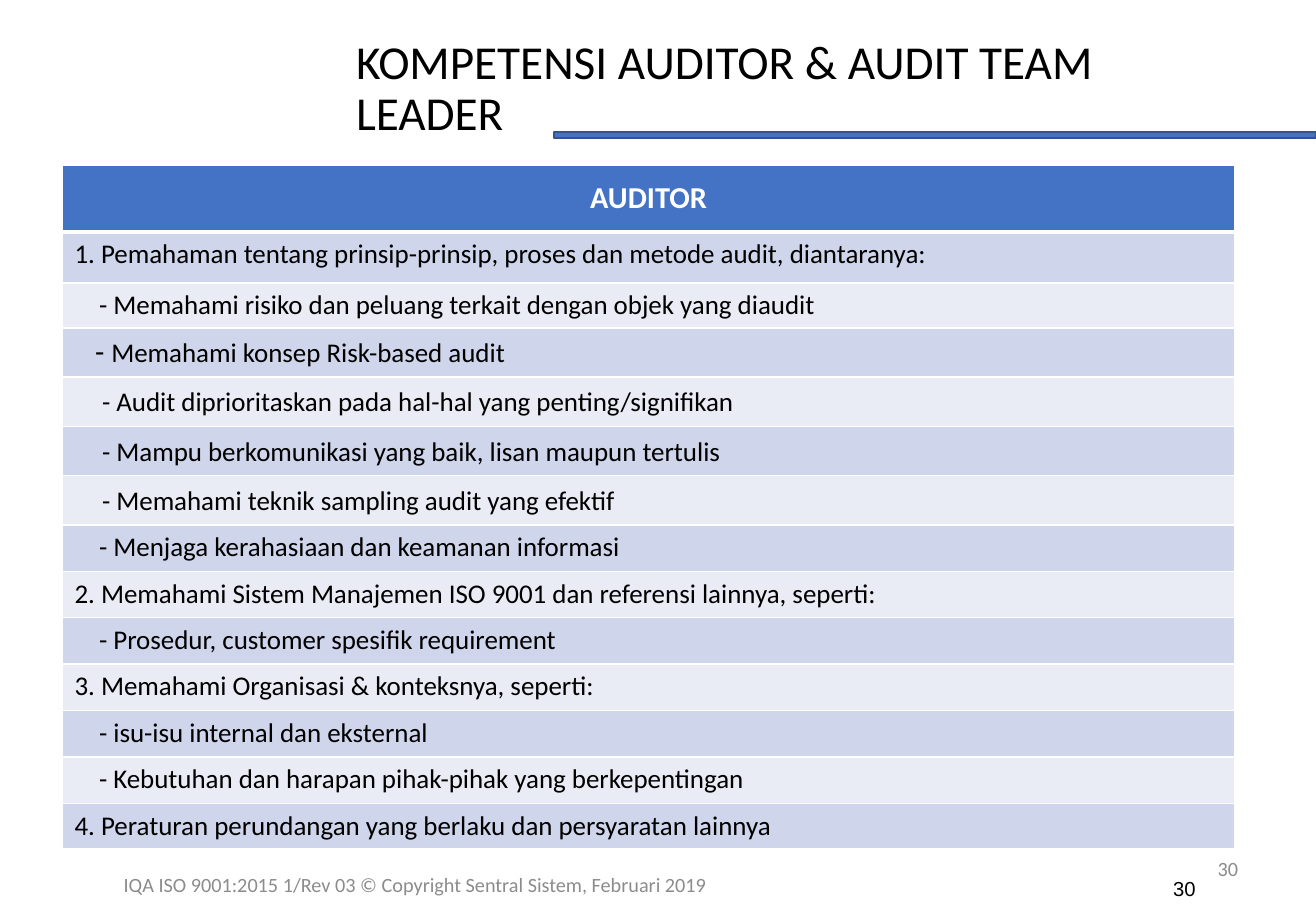
from lxml.etree import SubElement
from pptx import Presentation
from pptx.dml.color import RGBColor
from pptx.enum.shapes import MSO_SHAPE
from pptx.enum.text import MSO_ANCHOR, PP_ALIGN
from pptx.oxml.ns import qn
from pptx.util import Pt

COLOURS = {"blue": "4472C4", "outline": "325491", "odd": "CFD5EA", "even": "E9EBF5",
           "white": "FFFFFF", "black": "000000", "grey": "8C8C8C"}


def write(para, text, size, colour="black", font="Calibri", bold=False):
    span = para.add_run()
    span.text = text
    formats = {"size": Pt(size), "name": font, "bold": bold}
    for name, value in formats.items():
        setattr(span.font, name, value)
    span.font.color.rgb = RGBColor.from_string(COLOURS[colour])


def draw_borders(cell, widths):
    """Draw white cell borders; widths are points for left, right, top, bottom."""
    properties = cell._tc.get_or_add_tcPr()
    for position, (side, width) in enumerate(zip(("lnL", "lnR", "lnT", "lnB"), widths)):
        line = properties.makeelement(qn(f"a:{side}"), {"w": str(Pt(width))})
        fill = SubElement(line, qn("a:solidFill"))
        SubElement(fill, qn("a:srgbClr"), val=COLOURS["white"])
        properties.insert(position, line)


deck = Presentation()
deck.slide_width, deck.slide_height = Pt(780), Pt(540)
page = deck.slides.add_slide(deck.slide_layouts[5])

# Title
title = page.shapes.title
title_place = {"left": Pt(203.8), "top": Pt(7.9), "width": Pt(543.6), "height": Pt(90)}
for name, value in title_place.items():
    setattr(title, name, value)
title.text_frame.vertical_anchor = MSO_ANCHOR.MIDDLE
para = title.text_frame.paragraphs[0]
para.alignment = PP_ALIGN.LEFT
para.line_spacing = 0.9
write(para, "KOMPETENSI AUDITOR & AUDIT TEAM LEADER", 28)

# Page numbers and footer
footers = [
    ("30", (558.7, 500.4, 182.2, 28.8), PP_ALIGN.RIGHT, MSO_ANCHOR.MIDDLE, "grey", "Calibri"),
    ("IQA ISO 9001:2015 1/Rev 03 © Copyright Sentral Sistem, Februari 2019",
     (66.2, 509.8, 431.3, 28.8), PP_ALIGN.LEFT, MSO_ANCHOR.MIDDLE, "grey", "Calibri"),
    ("30", (688.3, 516.2, 182.2, 28.8), PP_ALIGN.LEFT, MSO_ANCHOR.TOP, "black", "Arial"),
]
for text, place, alignment, anchor, colour, font in footers:
    box = page.shapes.add_textbox(*map(Pt, place))
    box.text_frame.word_wrap = True
    box.text_frame.vertical_anchor = anchor
    para = box.text_frame.paragraphs[0]
    para.alignment = alignment
    write(para, text, 12, colour, font)

# Competence table: text, row height, left indent, top margin
competences = [
    ("1. Pemahaman tentang prinsip-prinsip, proses dan metode audit, diantaranya:", 30.2, 0, 3.6),
    ("- Memahami risiko dan peluang terkait dengan objek yang diaudit", 26.7, 14.5, 3.6),
    ("- Memahami konsep Risk-based audit", 29.2, 12.2, 3.6),
    ("- Audit diprioritaskan pada hal-hal yang penting/signifikan", 29.2, 16.3, 5.3),
    ("- Mampu berkomunikasi yang baik, lisan maupun tertulis", 29.2, 16.3, 5.3),
    ("- Memahami teknik sampling audit yang efektif", 29.2, 16.3, 5.3),
    ("- Menjaga kerahasiaan dan keamanan informasi", 27.5, 14.5, 3.6),
    ("2. Memahami Sistem Manajemen ISO 9001 dan referensi lainnya, seperti:", 27.5, 0, 3.6),
    ("- Prosedur, customer spesifik requirement", 27.5, 14.5, 3.6),
    ("3. Memahami Organisasi & konteksnya, seperti:", 27.5, 0, 3.6),
    ("- isu-isu internal dan eksternal", 27.5, 14.5, 3.6),
    ("- Kebutuhan dan harapan pihak-pihak yang berkepentingan", 27.5, 14.5, 3.6),
    ("4. Peraturan perundangan yang berlaku dan persyaratan lainnya", 26.7, 0, 3.6),
]
rows = [("AUDITOR", 39.6, 0, 3.6)] + competences
total_height = sum(height for _, height, _, _ in rows)
table = page.shapes.add_table(len(rows), 1, Pt(37), Pt(97.9), Pt(694.8), Pt(total_height)).table
for number, (text, height, indent, margin) in enumerate(rows):
    table.rows[number].height = Pt(height)
    cell = table.cell(number, 0)
    cell.margin_top = Pt(margin)
    para = cell.text_frame.paragraphs[0]
    if number == 0:
        fill = "blue"
        cell.vertical_anchor = MSO_ANCHOR.MIDDLE
        para.alignment = PP_ALIGN.CENTER
        write(para, text, 18, "white", bold=True)
    else:
        fill = "odd" if number % 2 else "even"
        para._p.get_or_add_pPr().set("marL", str(Pt(indent)))
        if "Risk-based" in text:
            write(para, text[:2], 18)
            text = text[2:]
        write(para, text, 16)
    cell.fill.solid()
    cell.fill.fore_color.rgb = RGBColor.from_string(COLOURS[fill])
    draw_borders(cell, (1, 1, 3 if number == 1 else 1, 3 if number == 0 else 1))

# Rule beside the title
rule = page.shapes.add_shape(MSO_SHAPE.RECTANGLE, Pt(328.2), Pt(78.4), Pt(451.8), Pt(3.6))
rule.shadow.inherit = False
rule.fill.solid()
rule.fill.fore_color.rgb = RGBColor.from_string(COLOURS["blue"])
rule.line.color.rgb = RGBColor.from_string(COLOURS["outline"])
rule.line.width = Pt(1)

deck.save("out.pptx")
